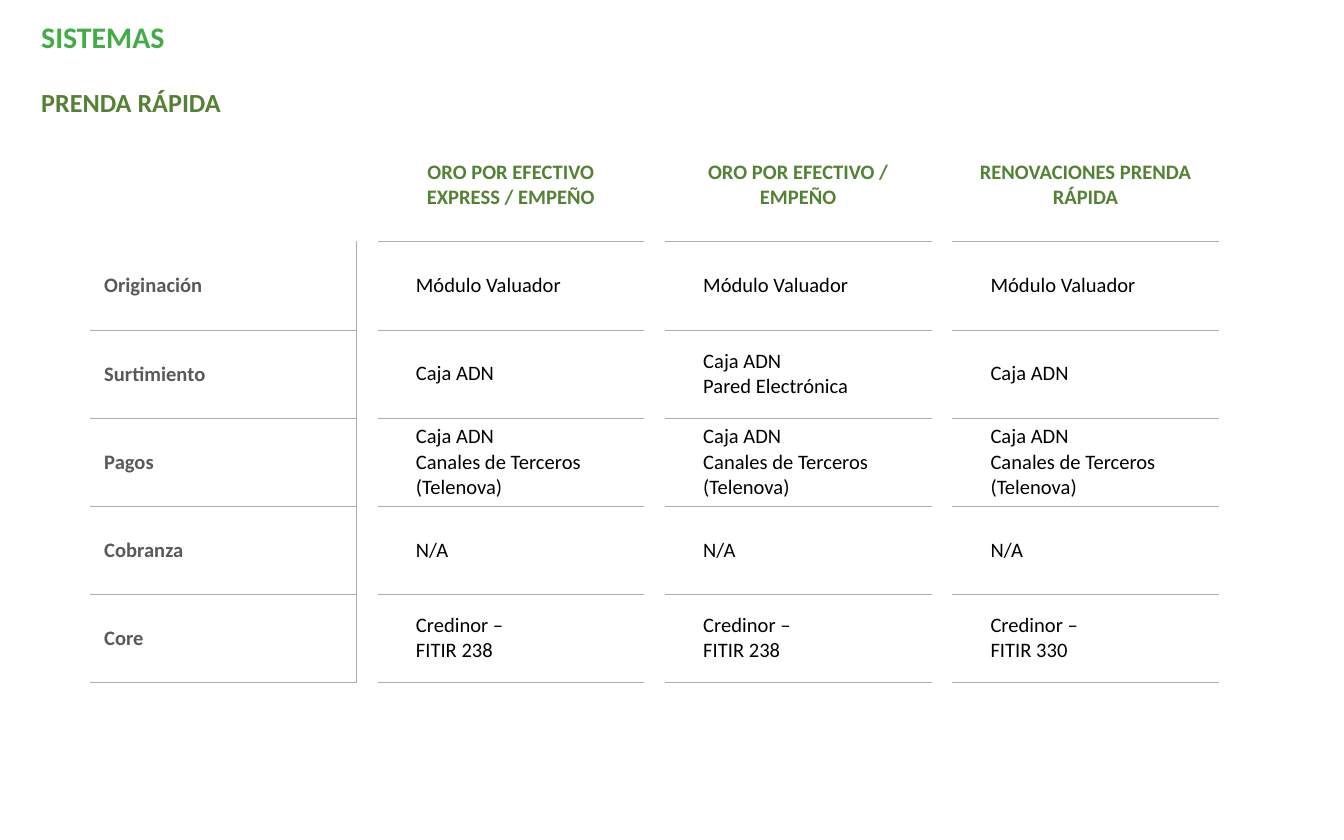
from dataclasses import dataclass

from lxml import etree
from pptx import Presentation
from pptx import util as u
from pptx.dml.color import RGBColor
from pptx.enum import text
from pptx.oxml.ns import qn


@dataclass(frozen=True)
class Theme:
    """Colours, font, type sizes and line widths of the slide."""
    font: str = "Calibri"
    title: str = "42AC47"
    heading: str = "548235"
    label: str = "595959"
    body: str = "000000"
    rule: str = "AFABAB"
    blank: str = "FFFFFF"
    title_size: int = 16
    subtitle_size: int = 14
    table_size: int = 11
    thin: float = 0.25
    thick: float = 1


THEME = Theme()
LEFT, TOP, STEP, WIDTH = 1.72, 2.54, 5.43, 5.01
HEADER_HEIGHT, ROW_HEIGHT = 2.03, 1.666

STAGES = ["Originación", "Surtimiento", "Pagos", "Cobranza", "Core"]
APPRAISAL = "Módulo Valuador"
CASHIER = "Caja ADN"
PAYMENTS = "Caja ADN\nCanales de Terceros (Telenova)"
PRODUCTS = [
    ("ORO POR EFECTIVO EXPRESS / EMPEÑO", CASHIER, "238"),
    ("ORO POR EFECTIVO / EMPEÑO", CASHIER + "\nPared Electrónica", "238"),
    ("RENOVACIONES PRENDA RÁPIDA", CASHIER, "330"),
]


def write(paragraph, content, *, size, color, bold=False, align=None, before=None):
    """Put formatted text in a paragraph."""
    paragraph.text = content
    paragraph.alignment = align
    if before is not None:
        paragraph.space_before = u.Pt(before)
    font = paragraph.font
    font.name, font.size, font.bold = THEME.font, u.Pt(size), bold
    font.color.rgb = RGBColor.from_string(color)


def set_borders(cell, **borders):
    """Draw the cell edges given as L, R, T, B with (colour, points)."""
    properties = cell._tc.get_or_add_tcPr()
    for index, (side, (color, points)) in enumerate(borders.items()):
        line = etree.Element(qn(f"a:ln{side}"), w=str(int(u.Pt(points))))
        fill = etree.SubElement(line, qn("a:solidFill"))
        etree.SubElement(fill, qn("a:srgbClr"), val=color)
        properties.insert(index, line)


def fill_cell(cell, content, *, left=0.25, bottom=0.1, **style):
    """Write the lines of a cell, centred vertically."""
    cell.fill.background()
    cell.vertical_anchor = text.MSO_ANCHOR.MIDDLE
    cell.margin_left, cell.margin_right = u.Cm(left), u.Cm(0.25)
    cell.margin_top, cell.margin_bottom = u.Cm(0.1), u.Cm(bottom)
    for index, line in enumerate(content.split("\n")):
        frame = cell.text_frame
        paragraph = frame.add_paragraph() if index else frame.paragraphs[0]
        write(paragraph, line, size=THEME.table_size, **style)


def add_column(slide, position, entries, *, header=None, right, **style):
    """Add a one-column table with ruled rows and an optional heading."""
    top = TOP if header else TOP + HEADER_HEIGHT
    cells = ([header] if header else []) + entries
    heights = ([HEADER_HEIGHT] if header else []) + [ROW_HEIGHT] * len(entries)
    table = slide.shapes.add_table(
        len(cells), 1, u.Cm(LEFT + STEP * position), u.Cm(top),
        u.Cm(WIDTH), u.Cm(sum(heights))).table
    table.first_row = table.horz_banding = False
    rule, blank = (THEME.rule, THEME.thin), (THEME.blank, THEME.thick)
    for index, (content, height) in enumerate(zip(cells, heights)):
        table.rows[index].height = u.Cm(height)
        cell = table.cell(index, 0)
        if header and index == 0:
            fill_cell(cell, content, bottom=0.23, color=THEME.heading, bold=True,
                      align=text.PP_ALIGN.CENTER)
        else:
            fill_cell(cell, content, **style)
        set_borders(cell, L=blank, R=right, T=rule if index else blank, B=rule)


def add_titles(slide):
    """Add the slide title and its subtitle."""
    frame = slide.shapes.add_textbox(
        u.Cm(0.53), u.Cm(0.23), u.Cm(11.13), u.Cm(2.13)).text_frame
    frame.word_wrap = True
    write(frame.paragraphs[0], "SISTEMAS", size=THEME.title_size,
          color=THEME.title, bold=True)
    write(frame.add_paragraph(), "PRENDA RÁPIDA", size=THEME.subtitle_size,
          color=THEME.heading, bold=True, before=17)


def main():
    """Build and save the slide."""
    presentation = Presentation()
    presentation.slide_width, presentation.slide_height = u.Cm(25.4), u.Cm(15.88)
    slide = presentation.slides.add_slide(presentation.slide_layouts[6])
    add_titles(slide)
    add_column(slide, 0, STAGES, right=(THEME.rule, THEME.thin),
               color=THEME.label, bold=True)
    for position, (header, supply, code) in enumerate(PRODUCTS, start=1):
        entries = [APPRAISAL, supply, PAYMENTS, "N/A", f"Credinor –\nFITIR {code}"]
        add_column(slide, position, entries, header=header, left=0.71,
                   right=(THEME.blank, THEME.thick), color=THEME.body)
    presentation.save("out.pptx")


if __name__ == "__main__":
    main()
